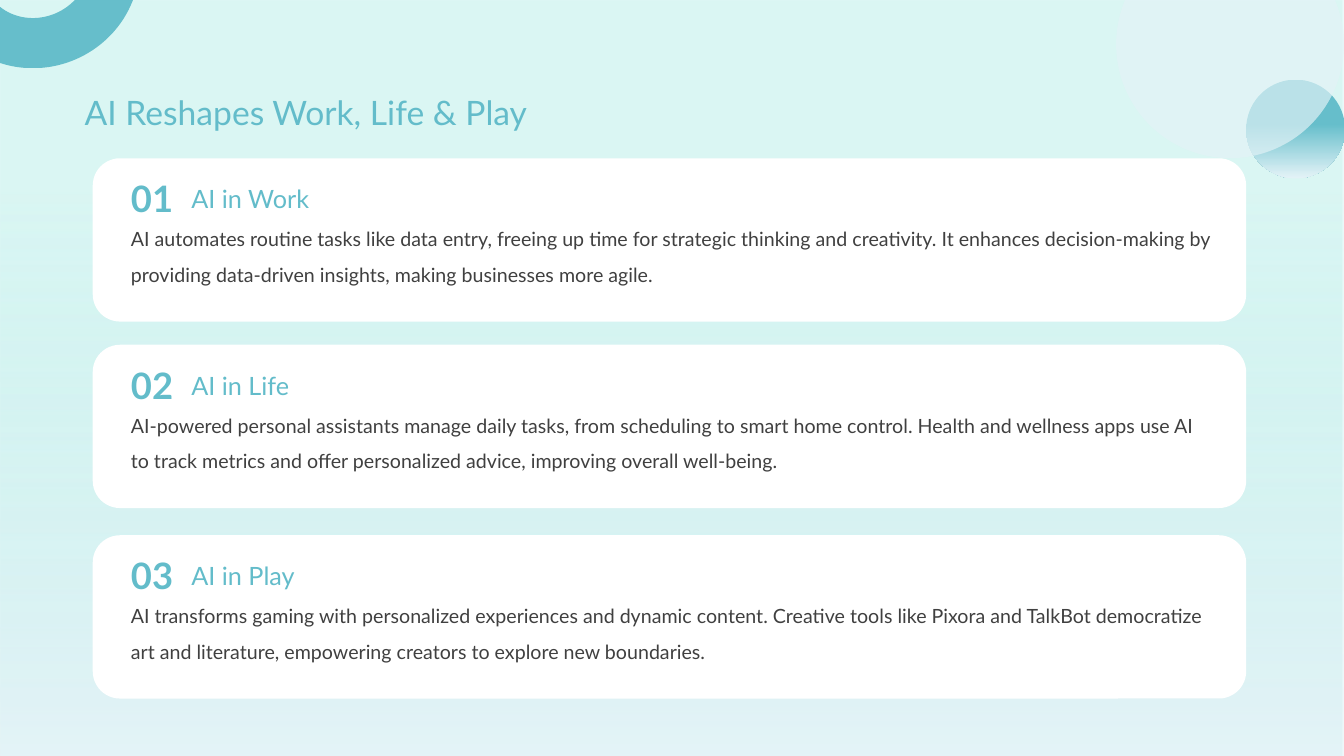
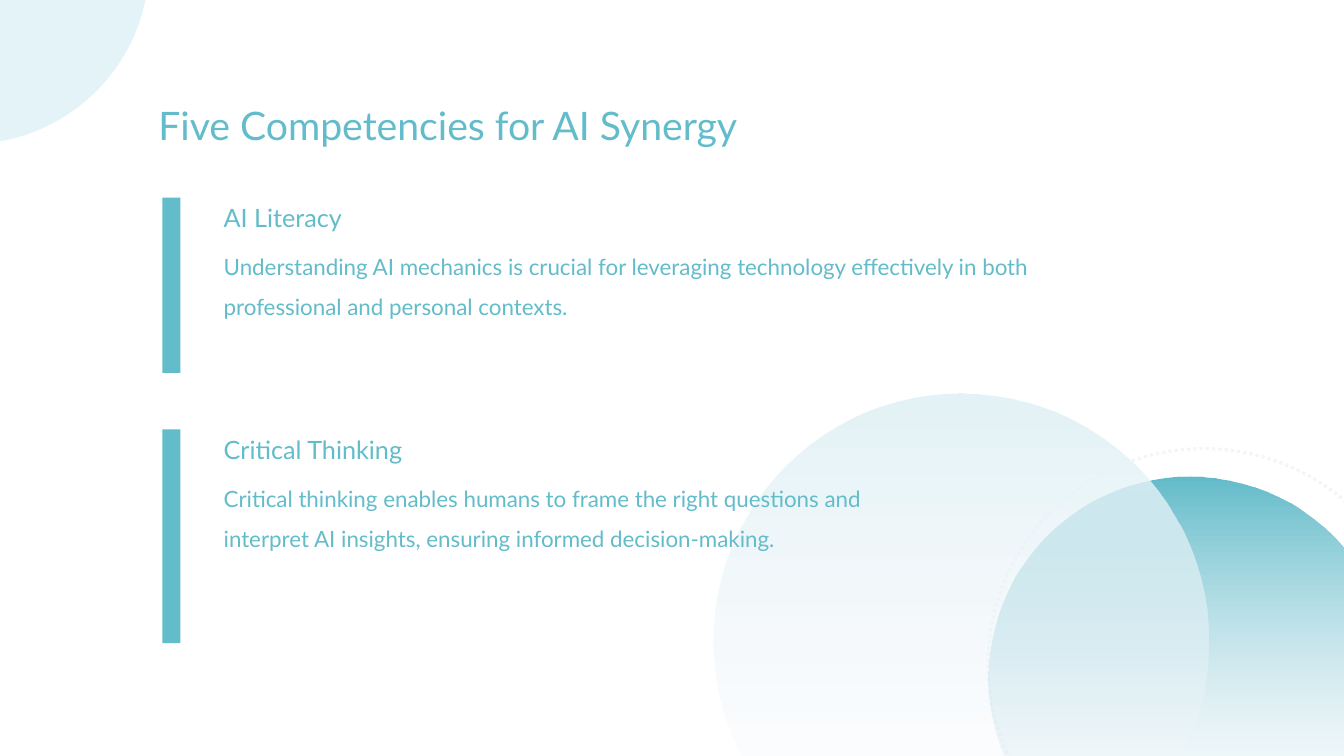
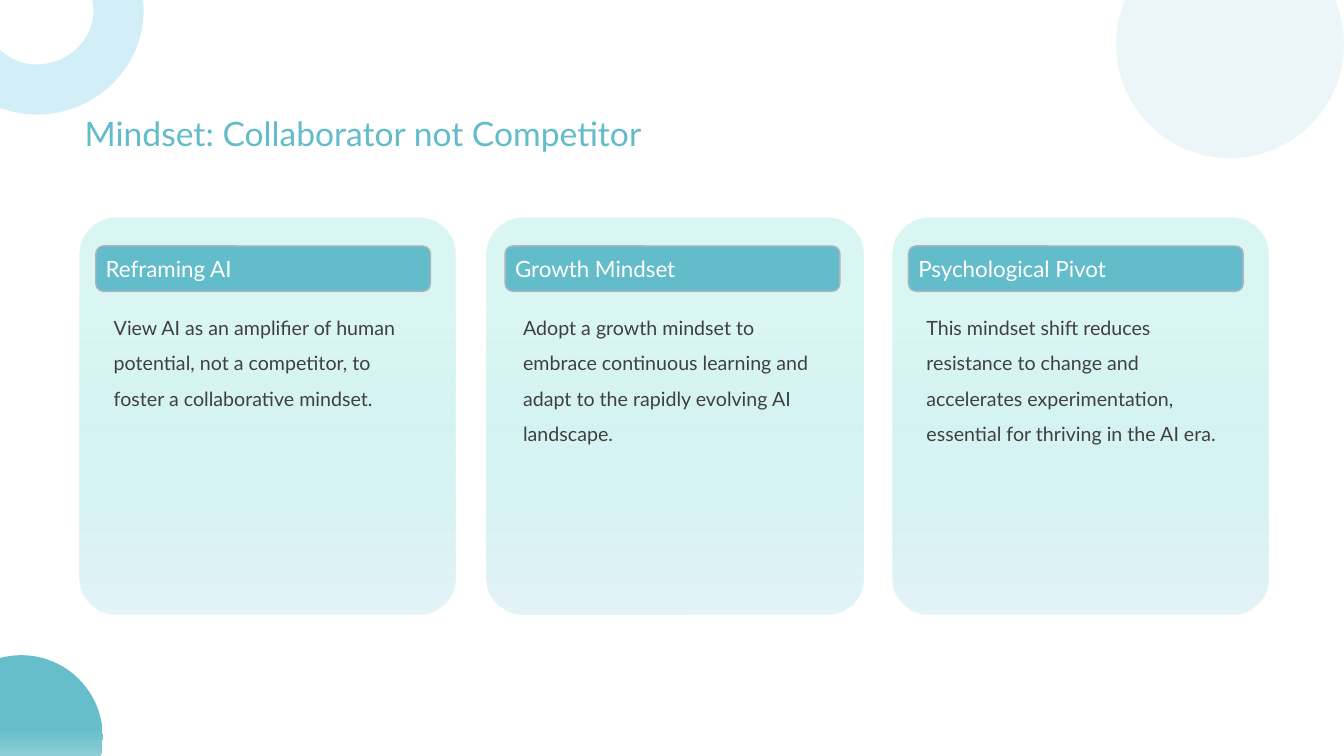
from typing import NamedTuple

from lxml.etree import SubElement
from pptx import Presentation
from pptx.dml.color import RGBColor as Rgb
from pptx.enum.dml import MSO_LINE as Dash
from pptx.enum.shapes import MSO_SHAPE as Kind
from pptx.enum.text import MSO_ANCHOR as Anchor
from pptx.enum.text import MSO_AUTO_SIZE as Auto
from pptx.enum.text import PP_ALIGN as Align
from pptx.oxml.ns import qn
from pptx.shapes.autoshape import Shape
from pptx.slide import Slide
from pptx.text.text import TextFrame
from pptx.util import Inches, Pt

FONT = "Lato"
HUES = {
    "teal": "63BCCA",
    "deep": "66BECB",
    "mint": "A8EAE4",
    "ice": "E4F3F7",
    "sky": "D2EFF8",
    "mist": "F6F8FD",
    "dots": "F3F5F9",
    "edge": "AEB5C0",
    "ink": "404040",
    "white": "FFFFFF",
}


class Stop(NamedTuple):
    hue: str
    pos: int = 0
    alpha: int = 100


class Box(NamedTuple):
    left: float
    top: float
    width: float
    height: float


class Card(NamedTuple):
    top: float
    mark: str
    head: str
    body: str


class Skill(NamedTuple):
    top: float
    tall: float
    wide: float
    head: str
    body: str


class Panel(NamedTuple):
    left: float
    inner: float
    head: str
    body: str


Fill = tuple[Stop, ...]
WASH: Fill = (Stop("mint", 0, 42), Stop("mint", 25, 42), Stop("ice", 100))
FADE: Fill = (Stop("deep", 0), Stop("deep", 45), Stop("ice", 100))
HAZE: Fill = (Stop("ice", 0, 67),)

CARDS = (
    Card(1.57, "01", "AI in Work", "AI automates routine tasks like data entry, freeing up time for strategic thinking and creativity. It enhances decision-making by providing data-driven insights, making businesses more agile."),
    Card(3.42, "02", "AI in Life", "AI-powered personal assistants manage daily tasks, from scheduling to smart home control. Health and wellness apps use AI to track metrics and offer personalized advice, improving overall well-being."),
    Card(5.31, "03", "AI in Play", "AI transforms gaming with personalized experiences and dynamic content. Creative tools like Pixora and TalkBot democratize art and literature, empowering creators to explore new boundaries."),
)
SKILLS = (
    Skill(1.96, 1.74, 9.09, "AI Literacy", "Understanding AI mechanics is crucial for leveraging technology effectively in both professional and personal contexts."),
    Skill(4.26, 2.12, 6.88, "Critical Thinking", "Critical thinking enables humans to frame the right questions and interpret AI insights, ensuring informed decision-making."),
)
PANELS = (
    Panel(0.79, 0.95, "Reframing AI", "View AI as an amplifier of human potential, not a competitor, to foster a collaborative mindset."),
    Panel(4.83, 5.01, "Growth Mindset", "Adopt a growth mindset to embrace continuous learning and adapt to the rapidly evolving AI landscape."),
    Panel(8.85, 9.01, "Psychological Pivot", "This mindset shift reduces resistance to change and accelerates experimentation, essential for thriving in the AI era."),
)


def tint(name: str) -> Rgb:
    return Rgb.from_string(HUES[name])


def tone(node, stop: Stop) -> None:
    hue = SubElement(node, qn("a:srgbClr"), val=HUES[stop.hue])
    if stop.alpha < 100:
        SubElement(hue, qn("a:alpha"), val=str(stop.alpha * 1000))


def paint(shape: Shape, stops: Fill) -> None:
    fill = shape.fill
    if not stops:
        fill.background()
        return
    props = shape._element.spPr
    if len(stops) == 1:
        fill.solid()
        fill.fore_color.rgb = tint(stops[0].hue)
        node = props.find(qn("a:solidFill"))
        node.clear()
        tone(node, stops[0])
        return
    fill.gradient()
    fill.gradient_angle = 270
    ramp = props.find(qn("a:gradFill")).find(qn("a:gsLst"))
    ramp.clear()
    for stop in stops:
        tone(SubElement(ramp, qn("a:gs"), pos=str(stop.pos * 1000)), stop)


def draw(slide: Slide, kind: Kind, box: Box, stops: Fill = (), *,
         line: str = "", width: float = 1, adj: tuple[float, ...] = (), turn: float = 0) -> Shape:
    shape = slide.shapes.add_shape(kind, *map(Inches, box))
    shape.shadow.inherit = False
    shape.rotation = turn
    for spot, value in enumerate(adj):
        shape.adjustments[spot] = value
    paint(shape, stops)
    if line:
        shape.line.color.rgb = tint(line)
        shape.line.width = Pt(width)
    else:
        shape.line.fill.background()
    return shape


def style(frame: TextFrame, text: str, *, size: float = 18, hue: str = "teal",
          bold: bool = False, space: float = 1) -> None:
    frame.word_wrap = True
    frame.vertical_anchor = Anchor.TOP
    para = frame.paragraphs[0]
    para.alignment = Align.LEFT
    para.line_spacing = space
    run = para.add_run()
    run.text = text
    font = run.font
    font.name, font.size, font.bold = FONT, Pt(size), bold
    font.color.rgb = tint(hue)


def write(slide: Slide, box: Box, text: str, **form) -> None:
    style(slide.shapes.add_textbox(*map(Inches, box)).text_frame, text, **form)


def head(slide: Slide, box: Box, text: str, size: float = 24) -> None:
    title = slide.shapes.title
    title.left, title.top, title.width, title.height = map(Inches, box)
    title.text_frame.auto_size = Auto.NONE
    style(title.text_frame, text, size=size)
    slide.shapes._spTree.append(title._element)


def arc(slide: Slide, left: float, top: float, stops: Fill) -> None:
    draw(slide, Kind.BLOCK_ARC, Box(left, top, 2.07, 1.99), stops, adj=(108, 0, 0.25), turn=157)


def disc(slide: Slide, left: float, top: float, size: float, stops: Fill) -> None:
    draw(slide, Kind.OVAL, Box(left, top, size, size), stops)


def areas(slide: Slide) -> None:
    draw(slide, Kind.RECTANGLE, Box(0, 0, 13.33, 7.5), WASH)
    disc(slide, 12.36, 0.79, 0.98, FADE)
    arc(slide, -0.68, -1.32, FADE)
    head(slide, Box(0.74, 0.86, 11.39, 0.4), "AI Reshapes Work, Life & Play")
    disc(slide, 11.07, -0.69, 2.26, HAZE)
    for card in CARDS:
        top = card.top
        draw(slide, Kind.ROUNDED_RECTANGLE, Box(0.92, top, 11.44, 1.62), (Stop("white"),), adj=(0.167,))
        write(slide, Box(1.2, top + 0.13, 0.71, 0.5), card.mark, size=26, bold=True)
        write(slide, Box(1.8, top + 0.2, 3.92, 0.37), card.head)
        write(slide, Box(1.2, top + 0.52, 10.93, 0.93), card.body, size=14, hue="ink", space=1.5)


def skills(slide: Slide) -> None:
    disc(slide, -2.11, -2.16, 3.59, (Stop("ice"),))
    head(slide, Box(1.47, 0.95, 8.83, 0.5), "Five Competencies for AI Synergy", 28)
    ring = draw(slide, Kind.OVAL, Box(9.8, 4.45, 4.28, 4.28), line="dots", width=2.25, turn=264)
    ring.line.dash_style = Dash.ROUND_DOT
    clear = Stop("mist", 100, 0)
    disc(slide, 9.8, 4.73, 4, (Stop("teal"), clear))
    disc(slide, 7.08, 3.9, 4.91, (Stop("ice"), clear))
    for skill in SKILLS:
        top = skill.top
        draw(slide, Kind.RECTANGLE, Box(1.61, top, 0.18, skill.tall), (Stop("teal"),))
        write(slide, Box(2.12, top, 5.93, 0.37), skill.head)
        write(slide, Box(2.12, top + 0.37, skill.wide, skill.tall - 0.38), skill.body, size=16, space=1.5)


def mindset(slide: Slide) -> None:
    disc(slide, -0.6, 6.5, 1.62, FADE)
    arc(slide, -0.64, -0.86, (Stop("sky"),))
    head(slide, Box(0.74, 1.07, 11.39, 0.4), "Mindset: Collaborator not Competitor")
    disc(slide, 11.07, -0.69, 2.26, HAZE)
    for panel in PANELS:
        left = panel.inner
        draw(slide, Kind.ROUNDED_RECTANGLE, Box(panel.left, 2.16, 3.73, 3.94), WASH, adj=(0.1,))
        draw(slide, Kind.ROUNDED_RECTANGLE, Box(left, 2.44, 3.32, 0.45), (Stop("teal"),),
             line="edge", adj=(0.167,))
        write(slide, Box(left, 2.48, 3.36, 0.49), panel.head, size=16, hue="white")
        write(slide, Box(left + 0.08, 2.97, 3.24, 2.85), panel.body, size=14, hue="ink", space=1.5)


def main() -> None:
    deck = Presentation()
    deck.slide_width, deck.slide_height = Inches(13.33), Inches(7.5)
    for build in (areas, skills, mindset):
        build(deck.slides.add_slide(deck.slide_layouts[5]))
    deck.save("out.pptx")


if __name__ == "__main__":
    main()
